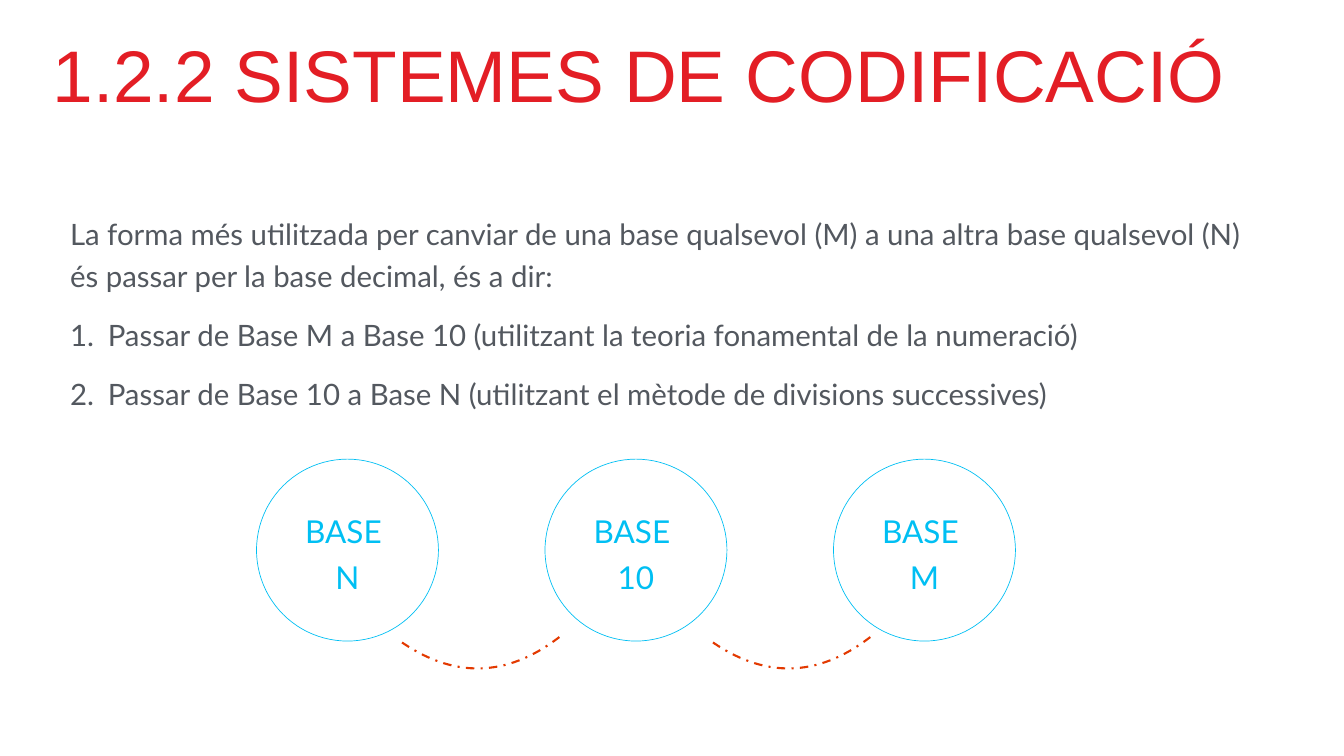
from lxml import etree
from pptx import Presentation
from pptx.dml.color import RGBColor
from pptx.enum.dml import MSO_LINE
from pptx.enum.shapes import MSO_SHAPE
from pptx.enum.text import MSO_ANCHOR, PP_ALIGN
from pptx.oxml.ns import qn
from pptx.util import Inches, Pt

ELLIPSE = MSO_SHAPE.OVAL
DASH_DOT = MSO_LINE.DASH_DOT
TOP, MIDDLE = MSO_ANCHOR.TOP, MSO_ANCHOR.MIDDLE
CENTER = PP_ALIGN.CENTER

RED, GREY, CYAN, ORANGE = "E31E25", "53585F", "00BFF3", "E33900"
INTRO = ("La forma més utilitzada per canviar de una base qualsevol (M) "
         "a una altra base qualsevol (N) és passar per la base decimal, és a dir:")
STEPS = ["Passar de Base M a Base 10 (utilitzant la teoria fonamental de la numeració)",
         "Passar de Base 10 a Base N (utilitzant el mètode de divisions successives)"]
BASES = ["N", "10", "M"]
CIRCLE_LEFT, CIRCLE_TOP, CIRCLE_SIZE, CIRCLE_PITCH = 5.09, 9.11, 3.61, 5.725
ARC_LEFT, ARC_PITCH = 7.91, 6.17
ARC_CONTROLS = [(0, 12.7), (1.08, 13.47), (2.14, 13.45), (3.19, 12.64)]
ARC_STEPS = 32


def rgb(color):
    return RGBColor.from_string(color)


def set_frame(tf, anchor):
    tf.word_wrap = True
    tf.vertical_anchor = anchor
    tf.margin_left = tf.margin_right = Inches(0.06)
    tf.margin_top = tf.margin_bottom = Inches(0.06)


def add_text_box(slide, left, top, width, height):
    tf = slide.shapes.add_textbox(Inches(left), Inches(top),
                                  Inches(width), Inches(height)).text_frame
    set_frame(tf, TOP)
    return tf


def add_run(p, text, size, font, color):
    r = p.add_run()
    r.text = text
    r.font.size = Pt(size)
    r.font.name = font
    r.font.color.rgb = rgb(color)


def number_paragraph(p):
    """Give the paragraph an automatic number with a hanging indent."""
    p_pr = p._p.get_or_add_pPr()
    p_pr.set("marL", str(Inches(0.75)))
    p_pr.set("indent", str(-Inches(0.75)))
    bullet_color = etree.SubElement(p_pr, qn("a:buClr"))
    etree.SubElement(bullet_color, qn("a:srgbClr"), val=GREY)
    etree.SubElement(p_pr, qn("a:buFont"), typeface="+mj-lt")
    etree.SubElement(p_pr, qn("a:buAutoNum"), type="arabicPeriod")


def add_title(slide, text):
    p = add_text_box(slide, 0.98, 0.86, 24, 2.51).paragraphs[0]
    p.line_spacing = 0.8
    add_run(p, text, 104.4, "Arial", RED)


def add_body(slide):
    tf = add_text_box(slide, 1.33, 4.08, 24, 9.58)
    p = tf.paragraphs[0]
    p.line_spacing = 1.2
    add_run(p, INTRO, 42, "Lato", GREY)
    for step in STEPS:
        p = tf.add_paragraph()
        number_paragraph(p)
        p.line_spacing = 1.2
        p.space_before = Pt(24)
        add_run(p, step, 42, "Lato", GREY)


def style_outline(sp, color, width):
    sp.shadow.inherit = False
    sp.fill.background()
    sp.line.color.rgb = rgb(color)
    sp.line.width = Pt(width)


def add_base_circle(slide, left, base):
    sp = slide.shapes.add_shape(ELLIPSE, Inches(left), Inches(CIRCLE_TOP),
                                Inches(CIRCLE_SIZE), Inches(CIRCLE_SIZE))
    style_outline(sp, CYAN, 1)
    set_frame(sp.text_frame, MIDDLE)
    p = sp.text_frame.paragraphs[0]
    p.alignment = CENTER
    p.line_spacing = 1.2
    add_run(p, "BASE ", 45, "Lato", CYAN)
    p.add_line_break()
    add_run(p, base, 45, "Lato", CYAN)


def bezier_point(t, controls):
    weights = [(1 - t) ** 3, 3 * t * (1 - t) ** 2, 3 * t ** 2 * (1 - t), t ** 3]
    return [sum(w * c[axis] for w, c in zip(weights, controls)) for axis in (0, 1)]


def add_arc(slide, left):
    points = []
    for i in range(ARC_STEPS + 1):
        x, y = bezier_point(1 - i / ARC_STEPS, ARC_CONTROLS)
        points.append((Inches(left + x), Inches(y)))
    builder = slide.shapes.build_freeform(*points[0])
    builder.add_line_segments(points[1:], close=False)
    sp = builder.convert_to_shape()
    style_outline(sp, ORANGE, 3)
    sp.line.dash_style = DASH_DOT


def main():
    prs = Presentation()
    prs.slide_width, prs.slide_height = Inches(26.67), Inches(15)
    s = prs.slides.add_slide(prs.slide_layouts[6])
    add_body(s)
    add_title(s, "1.2.2 SISTEMES DE CODIFICACIÓ")
    for i, base in enumerate(BASES):
        add_base_circle(s, CIRCLE_LEFT + i * CIRCLE_PITCH, base)
    for i in range(len(BASES) - 1):
        add_arc(s, ARC_LEFT + i * ARC_PITCH)
    prs.save("out.pptx")


if __name__ == "__main__":
    main()
